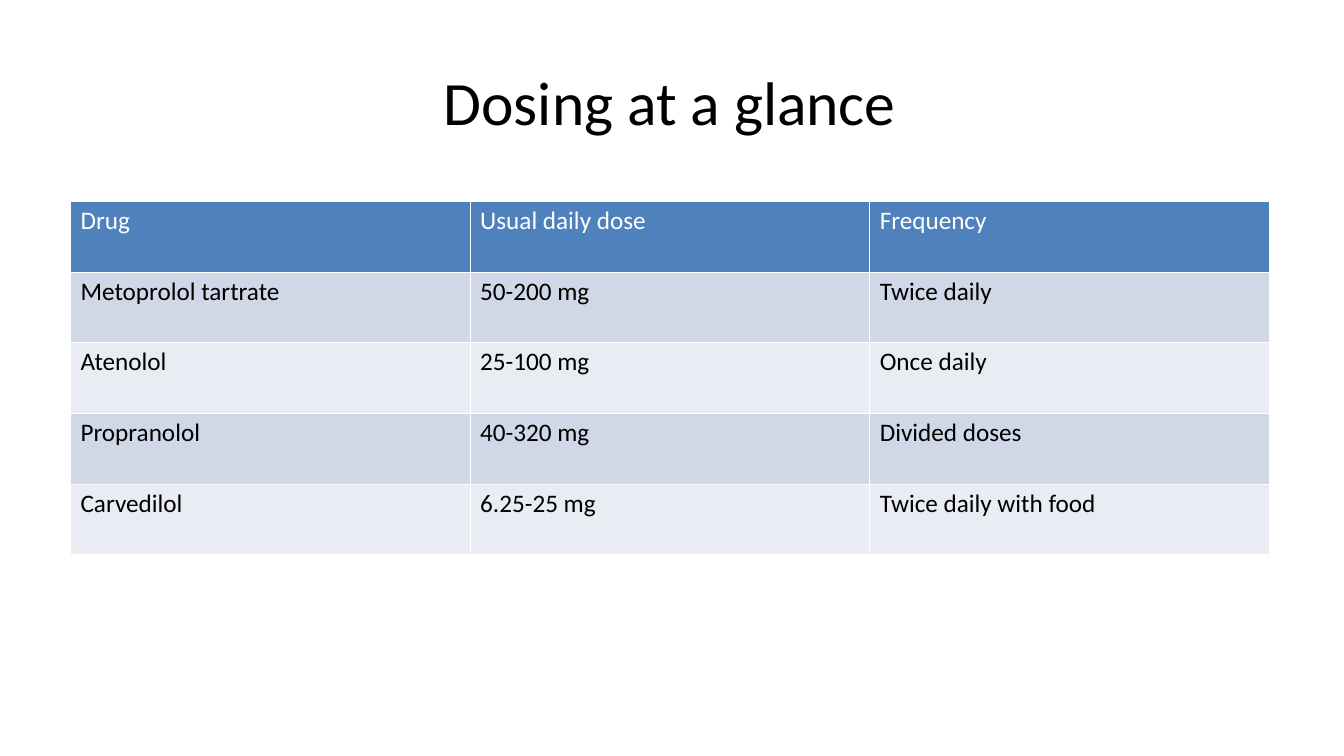
from lxml.etree import SubElement
from pptx import Presentation
from pptx.dml.color import RGBColor
from pptx.enum.text import MSO_ANCHOR, PP_ALIGN
from pptx.oxml.ns import qn
from pptx.util import Inches, Pt

TITLE = "Dosing at a glance"
DOSES = [
    ("Drug", "Usual daily dose", "Frequency"),
    ("Metoprolol tartrate", "50-200 mg", "Twice daily"),
    ("Atenolol", "25-100 mg", "Once daily"),
    ("Propranolol", "40-320 mg", "Divided doses"),
    ("Carvedilol", "6.25-25 mg", "Twice daily with food"),
]
COLORS = {
    "text": "000000",
    "header_text": "FFFFFF",
    "header": "4F81BD",
    "odd_row": "D0D8E7",
    "even_row": "E9ECF3",
    "border": "FFFFFF",
}
FONT = "Calibri"
SLIDE_WIDTH, SLIDE_HEIGHT = Inches(13.34), Inches(7.5)
LEFT, CONTENT_WIDTH = Inches(0.7), Inches(11.9)
TITLE_TOP, TITLE_HEIGHT = Inches(0.4), Inches(1.2)
TABLE_TOP, ROW_HEIGHT = Inches(2), Inches(0.7)
BORDER_WIDTH = Pt(0.45)


def write_text(frame, text, size, color="text", align=PP_ALIGN.LEFT,
               anchor=MSO_ANCHOR.TOP, line_spacing=1.0):
    frame.vertical_anchor = anchor
    para = frame.paragraphs[0]
    para.alignment = align
    para.line_spacing = line_spacing
    span = para.add_run()
    span.text = text
    span.font.name = FONT
    span.font.size = Pt(size)
    span.font.bold = False
    span.font.color.rgb = RGBColor.from_string(COLORS[color])


def add_borders(cell):
    """Outline all four sides; call before filling, as lines precede the fill."""
    properties = cell._tc.get_or_add_tcPr()
    for side in ("a:lnL", "a:lnR", "a:lnT", "a:lnB"):
        line = SubElement(properties, qn(side), w=str(int(BORDER_WIDTH)))
        fill = SubElement(line, qn("a:solidFill"))
        SubElement(fill, qn("a:srgbClr"), val=COLORS["border"])


def row_fill(row):
    if row == 0:
        return "header"
    return "odd_row" if row % 2 else "even_row"


def add_title(page):
    title = page.shapes.title
    title.left, title.top = LEFT, TITLE_TOP
    title.width, title.height = CONTENT_WIDTH, TITLE_HEIGHT
    write_text(title.text_frame, TITLE, 44, align=PP_ALIGN.CENTER,
               anchor=MSO_ANCHOR.MIDDLE)


def add_dose_table(page):
    table = page.shapes.add_table(
        len(DOSES), len(DOSES[0]), LEFT, TABLE_TOP,
        CONTENT_WIDTH, ROW_HEIGHT * len(DOSES)).table
    for row, values in enumerate(DOSES):
        for column, value in enumerate(values):
            cell = table.cell(row, column)
            add_borders(cell)
            cell.fill.solid()
            cell.fill.fore_color.rgb = RGBColor.from_string(COLORS[row_fill(row)])
            write_text(cell.text_frame, value, 18, line_spacing=0.94,
                       color="text" if row else "header_text")


def main():
    deck = Presentation()
    deck.slide_width, deck.slide_height = SLIDE_WIDTH, SLIDE_HEIGHT
    page = deck.slides.add_slide(deck.slide_layouts[5])
    add_title(page)
    add_dose_table(page)
    deck.save("out.pptx")


if __name__ == "__main__":
    main()
